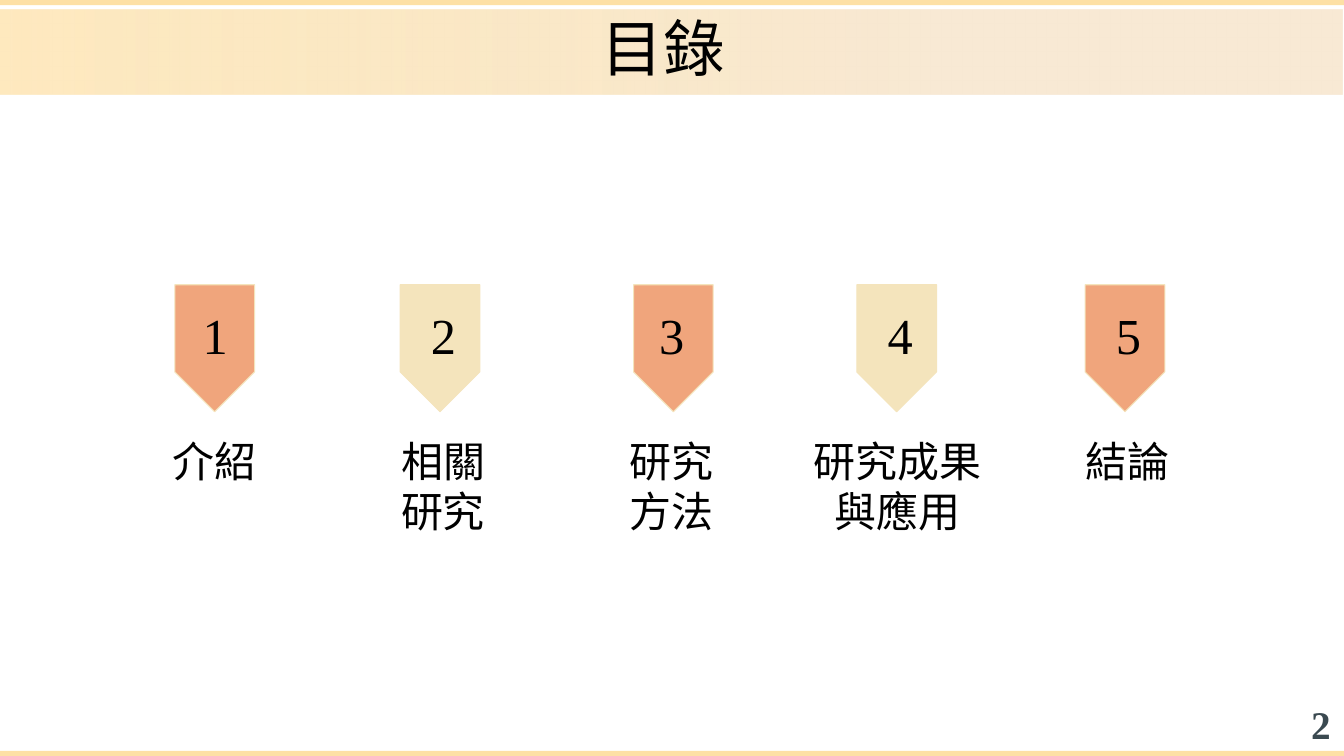
from lxml.etree import SubElement
from pptx import Presentation
from pptx.dml.color import RGBColor
from pptx.enum.shapes import MSO_SHAPE
from pptx.enum.text import MSO_ANCHOR, MSO_AUTO_SIZE, PP_ALIGN
from pptx.oxml.ns import qn
from pptx.util import Inches, Pt

COLUMNS, ROWS = 133.33, 75
FIRST_COLUMN, COLUMN_STEP = 14.1, 22.65
CHAPTERS = [
    ("介紹", 0.9, 0, 14.4, 7.1),
    ("相關研究", 0.6, 0, 14.4, 12.1),
    ("研究方法", 1.1, 0, 14.4, 12.1),
    ("研究成果與應用", 0.6, -4, 22, 12.1),
    ("結論", 0.6, 0, 14.4, 7.1),
]


def color(value):
    return RGBColor.from_string(value)


class Agenda:
    ink = "000000"
    gold = "FDE0A5"
    sand = "F8E9D4"
    cream = "F4E4BC"
    markers = ("F0A57C", "F4E4BC")
    serif = "Times New Roman"
    sans = "Arial"

    def __init__(self):
        self.deck = Presentation()
        self.deck.slide_width = Inches(13.33)
        self.deck.slide_height = Inches(7.5)
        self.page = self.deck.slides.add_slide(self.deck.slide_layouts[5])

    def frame(self, left, top, width, height):
        across = self.deck.slide_width / COLUMNS
        down = self.deck.slide_height / ROWS
        return (round(left * across), round(top * down),
                round(width * across), round(height * down))

    def shape(self, kind, place, fill):
        shape = self.page.shapes.add_shape(kind, *self.frame(*place))
        shape.shadow.inherit = False
        shape.line.fill.background()
        shape.fill.solid()
        shape.fill.fore_color.rgb = color(fill)
        return shape

    def band(self, place):
        band = self.shape(MSO_SHAPE.RECTANGLE, place, self.gold)
        band.fill.gradient()
        band.fill.gradient_angle = 0
        for stop, position, tone in zip(band.fill.gradient_stops, (0, 0.7), (self.gold, self.sand)):
            stop.position = position
            stop.color.rgb = color(tone)
        first_tone = next(band.element.iter(qn("a:srgbClr")))
        SubElement(first_tone, qn("a:alpha")).set("val", "70000")

    def marker(self, place, fill):
        marker = self.shape(MSO_SHAPE.PENTAGON, place, fill)
        marker.adjustments[0] = 0.5
        marker.rotation = 90
        marker.line.color.rgb = color(self.cream)
        marker.line.width = Pt(0.75)

    def lettering(self, box, text, size, font, align, margins, tone=ink, bold=False):
        frame = box.text_frame
        frame.text = text
        frame.word_wrap = True
        frame.auto_size = MSO_AUTO_SIZE.NONE
        frame.margin_left = frame.margin_right = Inches(margins[0])
        frame.margin_top = frame.margin_bottom = Inches(margins[1])
        para = frame.paragraphs[0]
        para.alignment = align
        span = para.runs[0]
        span.font.size, span.font.name, span.font.bold = Pt(size), font, bold
        span.font.color.rgb = color(tone)
        return frame

    def text(self, place, text, size, font, align=PP_ALIGN.CENTER, inset=0.1, **style):
        box = self.page.shapes.add_textbox(*self.frame(*place))
        return self.lettering(box, text, size, font, align, (inset, inset), **style)

    def title(self, place, text):
        title = self.page.shapes.title
        title.left, title.top, title.width, title.height = self.frame(*place)
        frame = self.lettering(title, text, 44, self.sans, PP_ALIGN.LEFT, (0.1, 0.05))
        frame.vertical_anchor = MSO_ANCHOR.MIDDLE
        frame.paragraphs[0].line_spacing = 0.9
        title.element.getparent().append(title.element)


def main():
    agenda = Agenda()
    number = agenda.text((125.3, 69, 8, 5.7), "2", 28, agenda.serif, PP_ALIGN.RIGHT,
                         0.13, tone="3A4950", bold=True)
    number.vertical_anchor = MSO_ANCHOR.MIDDLE
    agenda.band((0, 1, 133.2, 8.4))
    for top in (74.5, 0):
        agenda.shape(MSO_SHAPE.RECTANGLE, (0, top, COLUMNS, 0.5), agenda.gold)
    for index, (label, marker_shift, label_shift, width, height) in enumerate(CHAPTERS):
        left = FIRST_COLUMN + index * COLUMN_STEP
        agenda.marker((left + marker_shift, 30.6, 12.6, 7.9), agenda.markers[index % 2])
        agenda.text((left, 29.2, 14.5, 8.1), str(index + 1), 36, agenda.serif)
        agenda.text((left + label_shift, 42.2, width, height), label, 30, agenda.sans)
    agenda.title((58.7, 1.1, 16.1, 8.1), "目錄")
    agenda.deck.save("out.pptx")


if __name__ == "__main__":
    main()
